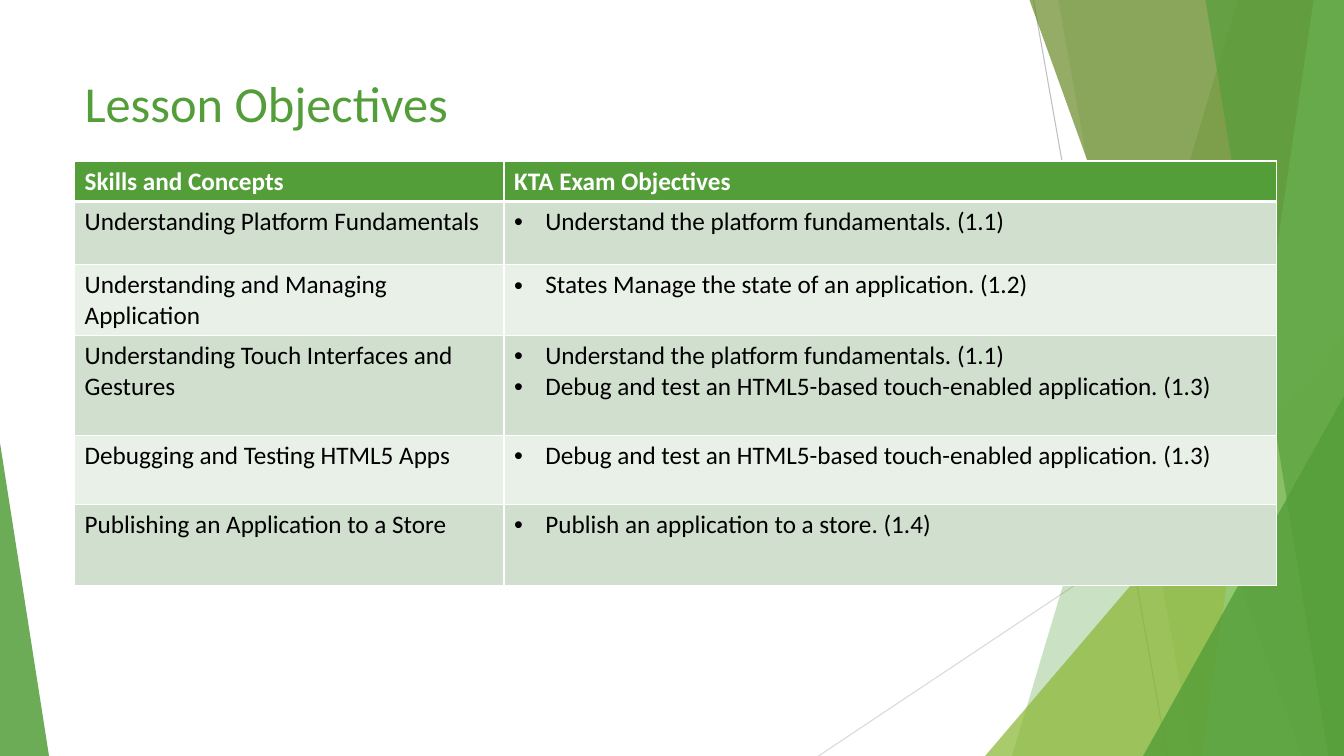
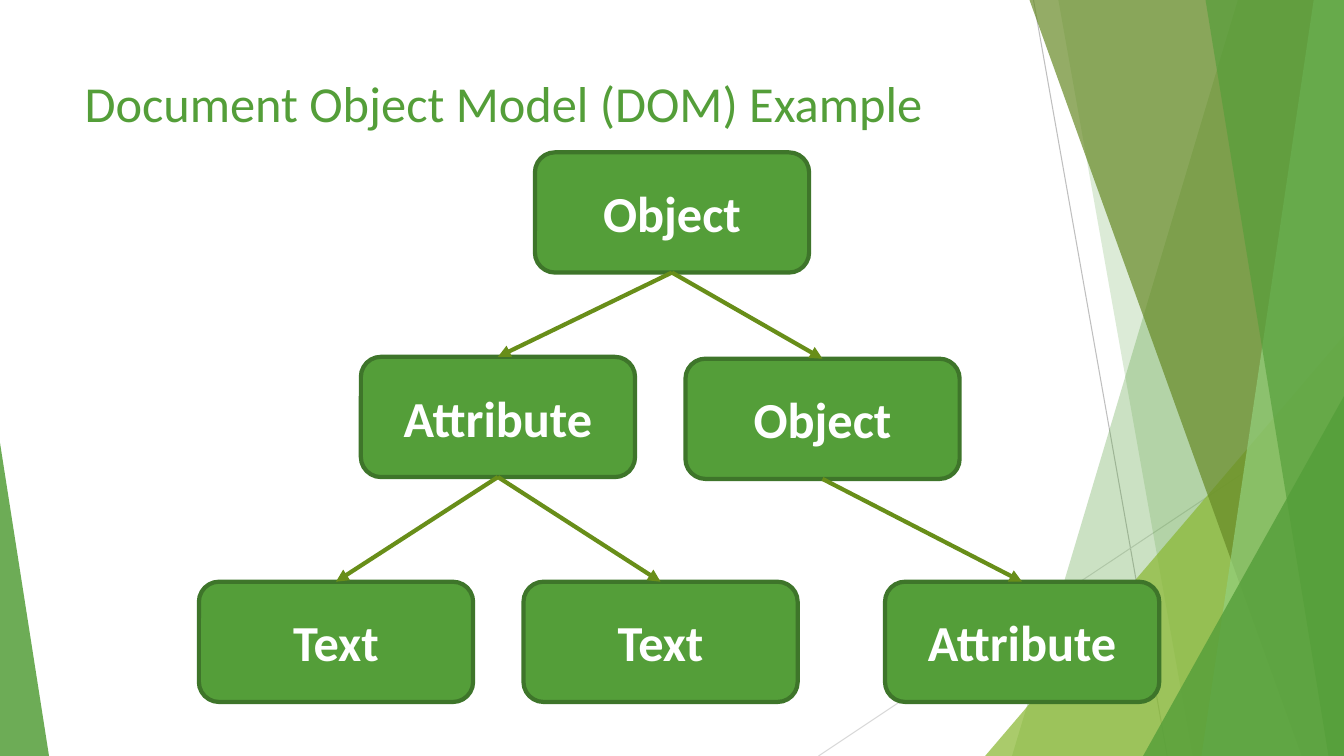
from pptx import Presentation
from pptx.dml.color import RGBColor
from pptx.enum.shapes import MSO_CONNECTOR, MSO_SHAPE
from pptx.enum.text import MSO_ANCHOR, PP_ALIGN
from pptx.oxml.ns import qn
from pptx.util import Inches, Pt
from lxml.etree import SubElement

WIDTH, HEIGHT = Inches(13.333), Inches(7.5)
FONT = "Calibri"
COLORS = {
    "green": "549E39", "lime": "8AB833", "olive": "678A26", "mint": "93D07D",
    "outline": "3E752A", "arrow": "688E19", "sage": "D1DFCE", "pale": "E9F0E8",
    "rule": "BFBFBF", "faint rule": "D9D9D9", "white": "FFFFFF", "black": "000000",
}
TITLE = {"size": 36, "color": "green"}
NODE_SIZE = (20.4, 15.9)
TOP_SITE, BOTTOM_SITE = 0, 2

RULES = [
    ((76.9, 0), (86.85, 100), "rule"),
    ((100, 53.7), (60.9, 100), "faint rule"),
]
SHARDS_BEHIND = [(92.1, 75.3, "green", 30), (78.75, 88.75, "green", 20)]
SHARDS_IN_FRONT = [
    (76.6, 96.85, "olive", 70),
    (97.75, 89.4, "mint", 70),
    (89.7, 98.85, "green", 65),
]
LIME_CORNER = (73.3, 44.4, 26.7, 1, "lime", 72)
GREEN_CORNERS = [
    (85.05, 52.4, 14.95, 1, "green", 80),
    (0, 58.55, 3.65, 0, "green", 85),
]

OBJECTIVES = [
    (8.4, "Understanding Platform Fundamentals",
     ["Understand the platform fundamentals. (1.1)"]),
    (8.4, "Understanding and Managing Application",
     ["States Manage the state of an application. (1.2)"]),
    (13.2, "Understanding Touch Interfaces and Gestures",
     ["Understand the platform fundamentals. (1.1)",
      "Debug and test an HTML5-based touch-enabled application. (1.3)"]),
    (9.2, "Debugging and Testing HTML5 Apps",
     ["Debug and test an HTML5-based touch-enabled application. (1.3)"]),
    (10.65, "Publishing an Application to a Store",
     ["Publish an application to a store. (1.4)"]),
]

DOM_NODES = {
    "root": ("Object", 50, 20.15),
    "attribute": ("Attribute", 37.05, 47.2),
    "object": ("Object", 61.2, 47.45),
    "object attribute": ("Attribute", 76.05, 76.95),
    "left text": ("Text", 25, 76.95),
    "right text": ("Text", 49.15, 76.95),
}
DOM_LINKS = [
    ("root", "attribute"), ("root", "object"),
    ("attribute", "left text"), ("attribute", "right text"),
    ("object", "object attribute"),
]


def across(share):
    return round(WIDTH * share / 100)


def down(share):
    return round(HEIGHT * share / 100)


def box(left, top, width, height):
    return across(left), down(top), across(width), down(height)


def rgb(color):
    return RGBColor.from_string(COLORS[color])


def write(frame, *lines, size=18, color="black", bold=False,
          align=PP_ALIGN.LEFT, anchor=None, bullet=False):
    frame.word_wrap = True
    if anchor is not None:
        frame.vertical_anchor = anchor
    for index, line in enumerate(lines):
        paragraph = frame.add_paragraph() if index else frame.paragraphs[0]
        paragraph.alignment = align
        run = paragraph.add_run()
        run.text = line
        run.font.name = FONT
        run.font.size = Pt(size)
        run.font.bold = bold
        run.font.color.rgb = rgb(color)
        if bullet:
            properties = paragraph._p.get_or_add_pPr()
            properties.set("marL", str(Inches(0.31)))
            properties.set("indent", str(-Inches(0.31)))
            SubElement(properties, qn("a:buFont"), typeface="Arial")
            SubElement(properties, qn("a:buChar"), char="•")


def paint(shape, color, opacity=100):
    shape.shadow.inherit = False
    shape.fill.solid()
    shape.fill.fore_color.rgb = rgb(color)
    shape.line.fill.background()
    if opacity < 100:
        tint = shape.element.spPr.find(qn("a:solidFill"))[0]
        SubElement(tint, qn("a:alpha"), val=str(opacity * 1000))


def add_line(slide, start, end, color, weight):
    line = slide.shapes.add_connector(
        MSO_CONNECTOR.STRAIGHT, across(start[0]), down(start[1]),
        across(end[0]), down(end[1]))
    line.line.color.rgb = rgb(color)
    line.line.width = Pt(weight)
    SubElement(line.element.spPr, qn("a:effectLst"))
    return line


def add_shard(slide, top, bottom, color, opacity):
    outline = slide.shapes.build_freeform(across(top), 0)
    outline.add_line_segments(
        [(WIDTH, 0), (WIDTH, HEIGHT), (across(bottom), HEIGHT)], close=True)
    paint(outline.convert_to_shape(), color, opacity)


def add_corner(slide, left, top, width, apex, color, opacity):
    corner = slide.shapes.add_shape(
        MSO_SHAPE.ISOSCELES_TRIANGLE, *box(left, top, width, 100 - top))
    corner.adjustments[0] = apex
    paint(corner, color, opacity)


def add_slide(deck, title):
    slide = deck.slides.add_slide(deck.slide_layouts[6])
    for start, end, color in RULES:
        add_line(slide, start, end, color, 0.75)
    for shard in SHARDS_BEHIND:
        add_shard(slide, *shard)
    add_corner(slide, *LIME_CORNER)
    for shard in SHARDS_IN_FRONT:
        add_shard(slide, *shard)
    for corner in GREEN_CORNERS:
        add_corner(slide, *corner)
    heading = slide.shapes.add_textbox(*box(5.55, 8.95, 70.5, 19.2))
    write(heading.text_frame, title, anchor=MSO_ANCHOR.TOP, **TITLE)
    return slide


def dress_cell(cell, fill, above=1, below=1):
    properties = cell._tc.get_or_add_tcPr()
    for side, weight in zip("LRTB", (1, 1, above, below)):
        border = SubElement(properties, qn(f"a:ln{side}"), w=str(Pt(weight)))
        ink = SubElement(border, qn("a:solidFill"))
        SubElement(ink, qn("a:srgbClr"), val=COLORS["white"])
    cell.fill.solid()
    cell.fill.fore_color.rgb = rgb(fill)


def add_objectives(slide):
    heights = [5.33] + [height for height, _, _ in OBJECTIVES]
    widths = (31.95, 57.45)
    table = slide.shapes.add_table(
        len(heights), len(widths),
        *box(5.55, 21.3, sum(widths), sum(heights))).table
    for column, width in zip(table.columns, widths):
        column.width = across(width)
    for row, height in zip(table.rows, heights):
        row.height = down(height)
    for column, label in enumerate(("Skills and Concepts", "KTA Exam Objectives")):
        header = table.cell(0, column)
        dress_cell(header, "green", below=3)
        write(header.text_frame, label, color="white", bold=True)
    for row, (_, skill, goals) in enumerate(OBJECTIVES, 1):
        for column, lines in enumerate(([skill], goals)):
            cell = table.cell(row, column)
            dress_cell(cell, "sage" if row % 2 else "pale",
                       above=3 if row == 1 else 1)
            write(cell.text_frame, *lines, bullet=column == 1)


def add_node(slide, label, center, top):
    width, height = NODE_SIZE
    node = slide.shapes.add_shape(
        MSO_SHAPE.ROUNDED_RECTANGLE, *box(center - width / 2, top, width, height))
    paint(node, "green")
    node.line.color.rgb = rgb("outline")
    node.line.width = Pt(3)
    write(node.text_frame, label, size=36, color="white", bold=True,
          align=PP_ALIGN.CENTER, anchor=MSO_ANCHOR.MIDDLE)
    return node


def add_link(slide, parent, child):
    arrow = add_line(slide, (0, 0), (0, 0), "arrow", 3)
    arrow.begin_connect(parent, BOTTOM_SITE)
    arrow.end_connect(child, TOP_SITE)
    SubElement(arrow.line._get_or_add_ln(), qn("a:tailEnd"), type="triangle")


def add_dom_tree(slide):
    nodes = {key: add_node(slide, *node) for key, node in DOM_NODES.items()}
    for parent, child in DOM_LINKS:
        add_link(slide, nodes[parent], nodes[child])


def main():
    deck = Presentation()
    deck.slide_width, deck.slide_height = WIDTH, HEIGHT
    add_objectives(add_slide(deck, "Lesson Objectives"))
    add_dom_tree(add_slide(deck, "Document Object Model (DOM) Example"))
    deck.save("out.pptx")


main()
